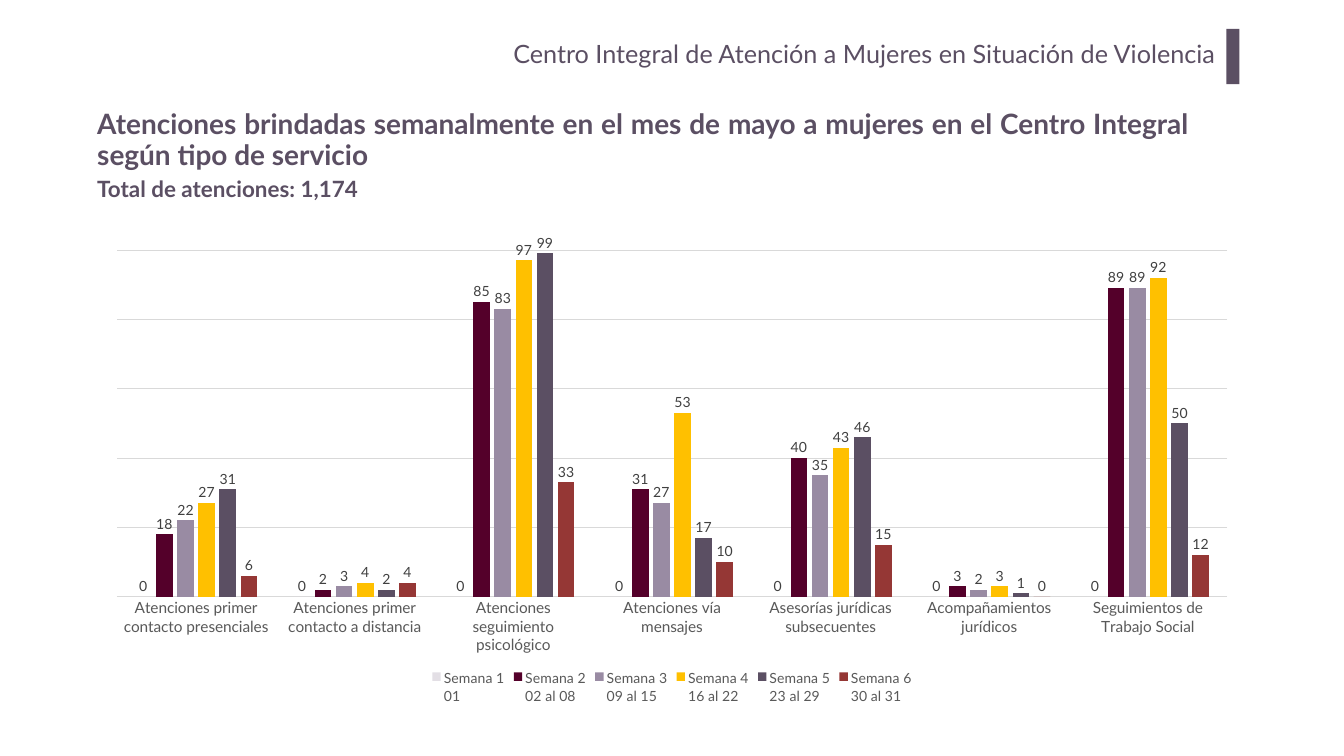
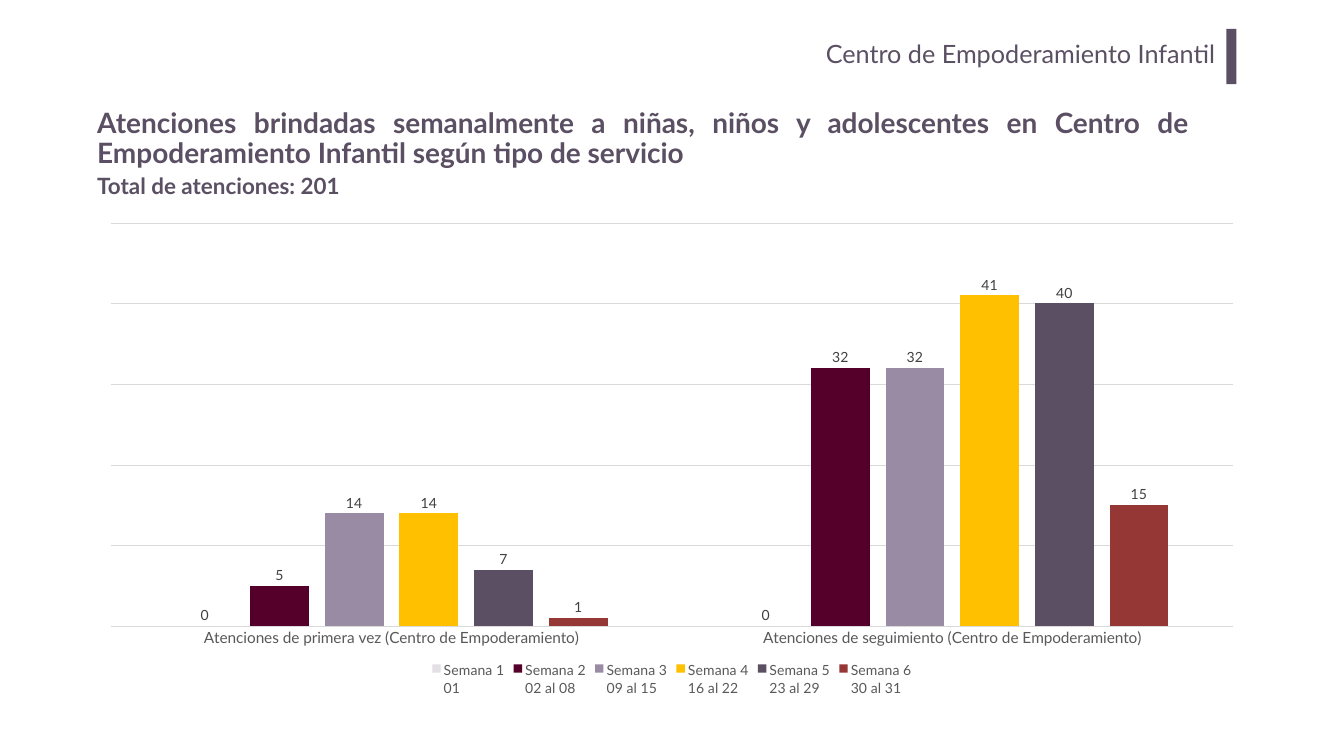
from lxml.etree import fromstring
from pptx import Presentation
from pptx.chart.data import CategoryChartData
from pptx.dml.color import RGBColor
from pptx.enum.chart import XL_CHART_TYPE, XL_LABEL_POSITION, XL_LEGEND_POSITION, XL_TICK_MARK
from pptx.enum.shapes import MSO_SHAPE
from pptx.enum.text import MSO_ANCHOR, MSO_AUTO_SIZE, PP_ALIGN
from pptx.util import Cm, Pt

PURPLE = RGBColor(0x5B, 0x4F, 0x63)
AXIS_TEXT = RGBColor(0x59, 0x59, 0x59)
LABEL_TEXT = RGBColor(0x40, 0x40, 0x40)
GRID = RGBColor(0xD9, 0xD9, 0xD9)
BLACK = RGBColor(0, 0, 0)
FONT = "Lato"

WEEKS = [
    ("Semana 1\n01", RGBColor(0xE3, 0xDF, 0xE5)),
    ("Semana 2\n02 al 08", RGBColor(0x54, 0x00, 0x2A)),
    ("Semana 3\n09 al 15", RGBColor(0x99, 0x8B, 0xA3)),
    ("Semana 4\n16 al 22", RGBColor(0xFF, 0xC0, 0x00)),
    ("Semana 5\n23 al 29", PURPLE),
    ("Semana 6\n30 al 31", RGBColor(0x95, 0x37, 0x35)),
]

CENTERS = [
    {
        "center": "Centro Integral de Atención a Mujeres en Situación de Violencia",
        "heading": "Atenciones brindadas semanalmente en el mes de mayo a mujeres "
                   "en el Centro Integral según tipo de servicio",
        "total": "Total de atenciones: 1,174",
        "bar_width": 0.66, "heading_top": 5.26, "total_top": 8.71,
        "chart_box": (4.72, 10.34, 58.29, 25.3),
        "plot_height": 0.76, "axis_max": 110, "axis_step": 20,
        "services": {
            "Atenciones primer contacto presenciales": (0, 18, 22, 27, 31, 6),
            "Atenciones primer contacto a distancia": (0, 2, 3, 4, 2, 4),
            "Atenciones seguimiento psicológico": (0, 85, 83, 97, 99, 33),
            "Atenciones vía mensajes": (0, 31, 27, 53, 17, 10),
            "Asesorías jurídicas subsecuentes": (0, 40, 35, 43, 46, 15),
            "Acompañamientos jurídicos": (0, 3, 2, 3, 1, 0),
            "Seguimientos de Trabajo Social": (0, 89, 89, 92, 50, 12),
        },
    },
    {
        "center": "Centro de Empoderamiento Infantil",
        "heading": "Atenciones brindadas semanalmente a niñas, niños y adolescentes "
                   "en Centro de Empoderamiento Infantil según tipo de servicio",
        "total": "Total de atenciones: 201",
        "bar_width": 0.51, "heading_top": 5.18, "total_top": 8.53,
        "chart_box": (4.42, 10.74, 58.88, 24.49),
        "plot_height": 0.83, "axis_max": 50, "axis_step": 10,
        "services": {
            "Atenciones de primera vez (Centro de Empoderamiento)": (0, 5, 14, 14, 7, 1),
            "Atenciones de seguimiento (Centro de Empoderamiento)": (0, 32, 32, 41, 40, 15),
        },
    },
]

PLOT_LAYOUT = (
    '<c:layout xmlns:c="http://schemas.openxmlformats.org/drawingml/2006/chart">'
    '<c:manualLayout><c:layoutTarget val="inner"/>'
    '<c:xMode val="edge"/><c:yMode val="edge"/>'
    '<c:x val="0.02"/><c:y val="0.02"/><c:w val="0.96"/><c:h val="{}"/>'
    '</c:manualLayout></c:layout>'
)


def style_font(font, size, color, name=FONT, bold=False):
    font.name = name
    font.size = Pt(size)
    font.bold = bold
    font.color.rgb = color


def write(shape, text, size=32, bold=False, align=PP_ALIGN.LEFT, spacing=1.0,
          anchor=MSO_ANCHOR.TOP, inset=(0.25, 0.13)):
    frame = shape.text_frame
    frame.word_wrap = True
    frame.auto_size = MSO_AUTO_SIZE.NONE
    frame.vertical_anchor = anchor
    frame.margin_left = frame.margin_right = Cm(inset[0])
    frame.margin_top = frame.margin_bottom = Cm(inset[1])
    paragraph = frame.paragraphs[0]
    paragraph.alignment = align
    paragraph.line_spacing = spacing
    paragraph.space_before = Pt(0)
    run = paragraph.add_run()
    run.text = text
    style_font(run.font, size, PURPLE, bold=bold)


prs = Presentation()
prs.slide_width = Cm(67.73)
prs.slide_height = Cm(38.1)

for info in CENTERS:
    slide = prs.slides.add_slide(prs.slide_layouts[5])

    heading = slide.shapes.title
    heading.left, heading.top = Cm(4.65), Cm(info["heading_top"])
    heading.width, heading.height = Cm(55.5), Cm(3.68)
    write(heading, info["heading"], size=40, bold=True, align=PP_ALIGN.JUSTIFY,
          spacing=0.9, anchor=MSO_ANCHOR.MIDDLE)

    center = slide.shapes.add_textbox(Cm(10.19), Cm(1.7), Cm(51.56), Cm(2.59))
    write(center, info["center"], size=36, align=PP_ALIGN.RIGHT, inset=(0.51, 0.25))

    accent_bar = slide.shapes.add_shape(
        MSO_SHAPE.RECTANGLE, Cm(61.8), Cm(1.45), Cm(info["bar_width"]), Cm(2.79))
    accent_bar.shadow.inherit = False
    accent_bar.fill.solid()
    accent_bar.fill.fore_color.rgb = PURPLE
    accent_bar.line.fill.background()

    total = slide.shapes.add_textbox(Cm(4.65), Cm(info["total_top"]), Cm(14.33), Cm(1.63))
    write(total, info["total"], bold=True)

    attentions = CategoryChartData()
    attentions.categories = list(info["services"])
    for (week, _), counts in zip(WEEKS, zip(*info["services"].values())):
        attentions.add_series(week, counts)
    chart = slide.shapes.add_chart(
        XL_CHART_TYPE.COLUMN_CLUSTERED, *map(Cm, info["chart_box"]), attentions).chart
    chart.has_title = False
    style_font(chart.font, 10, BLACK, name="Arial")

    chart.has_legend = True
    chart.legend.position = XL_LEGEND_POSITION.BOTTOM
    chart.legend.include_in_layout = False
    style_font(chart.legend.font, 20, AXIS_TEXT)

    service_axis = chart.category_axis
    service_axis.major_tick_mark = XL_TICK_MARK.NONE
    service_axis.format.line.color.rgb = GRID
    service_axis.format.line.width = Pt(0.75)
    style_font(service_axis.tick_labels.font, 22, AXIS_TEXT)

    count_axis = chart.value_axis
    count_axis.visible = False
    count_axis.minimum_scale = 0
    count_axis.maximum_scale = info["axis_max"]
    count_axis.major_unit = info["axis_step"]
    count_axis.has_major_gridlines = True
    count_axis.major_gridlines.format.line.color.rgb = GRID
    count_axis.major_gridlines.format.line.width = Pt(0.75)

    plot = chart.plots[0]
    plot.gap_width = 219
    plot.overlap = -27
    plot.vary_by_categories = False
    for series, (_, color) in zip(plot.series, WEEKS):
        series.format.fill.solid()
        series.format.fill.fore_color.rgb = color
        series.invert_if_negative = False
        labels = series.data_labels
        labels.show_value = True
        labels.position = XL_LABEL_POSITION.OUTSIDE_END
        style_font(labels.font, 20, LABEL_TEXT)

    plot_area = chart._chartSpace.chart.plotArea
    for layout in plot_area.xpath("c:layout"):
        plot_area.remove(layout)
    plot_area.insert(0, fromstring(PLOT_LAYOUT.format(info["plot_height"])))

prs.save("out.pptx")
